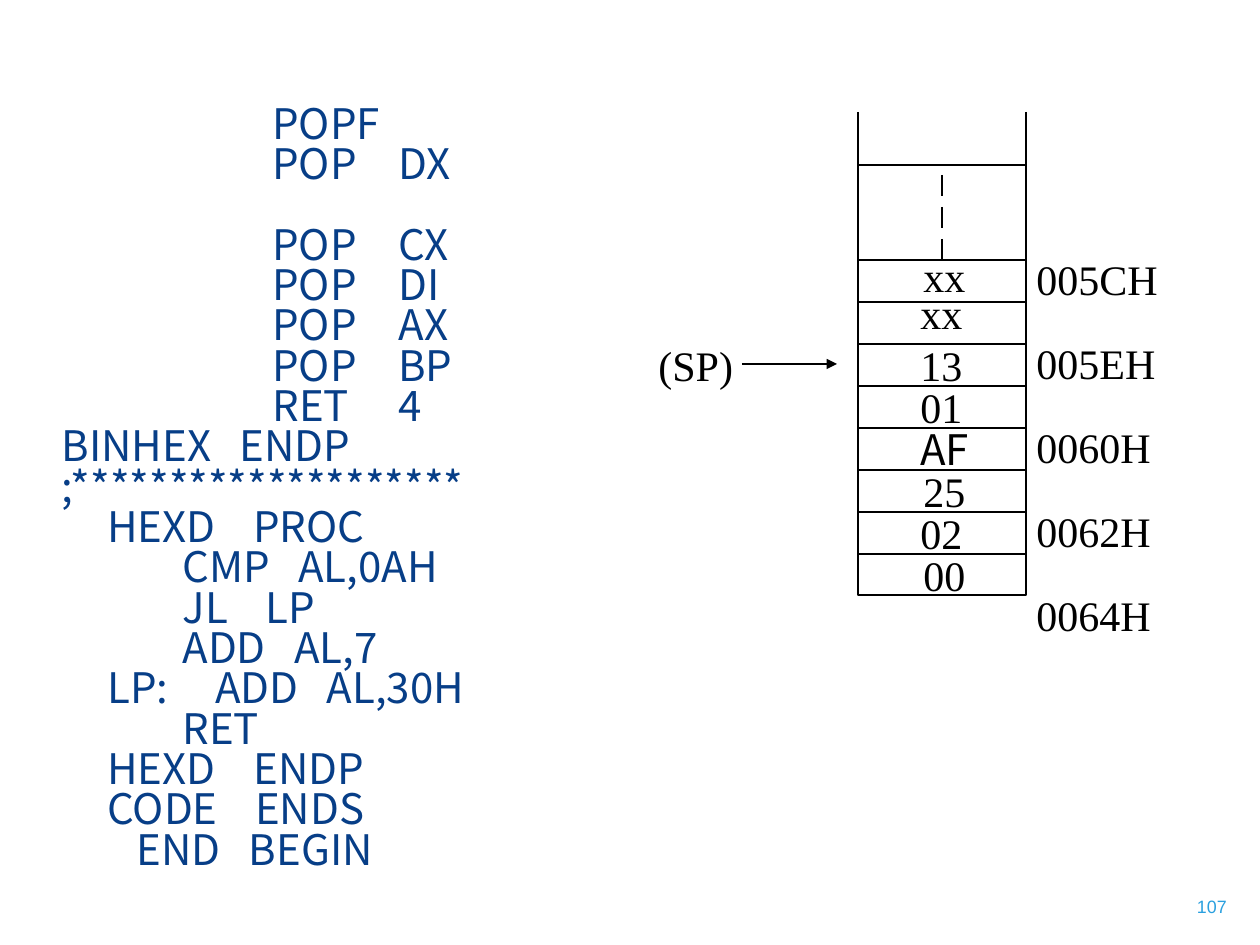
from lxml import etree
from pptx import Presentation
from pptx import util as u
from pptx.dml.color import RGBColor
from pptx.enum import shapes, text
from pptx.oxml.ns import qn

PX = 914400 / 126
HUE = {"ink": "000000", "code": "073E87", "page": "2AA0DF", "paper": "FFFFFF"}
SERIF, SANS = "Times New Roman", "Noto Sans CJK SC"
INDENT = {0: (48, -48), 1: (113, -39)}
CODE = [
    (1, "\t\t\tPOPF"),
    (1, "\t\t\tPOP\tDX"),
    (1, "\t\t\tPOP\tCX"),
    (1, "\t\t\tPOP\tDI"),
    (1, "\t\t\tPOP\tAX"),
    (1, "\t\t\tPOP\tBP"),
    (1, "\t\t\tRET\t4"),
    (0, "   BINHEX   ENDP"),
    (0, "   ;********************"),
    (1, "HEXD    PROC"),
    (1, "        CMP   AL,0AH"),
    (1, "        JL    LP"),
    (1, "        ADD   AL,7"),
    (1, "LP:     ADD   AL,30H"),
    (1, "        RET"),
    (1, "HEXD    ENDP"),
    (1, "CODE    ENDS"),
    (0, "           END   BEGIN"),
]
CELLS = [(911, 244, "xx"), (908, 281, "xx"), (908, 333, "13"), (908, 375, "01"),
         (908, 417, "AF"), (911, 459, "25"), (908, 501, "02"), (911, 543, "00")]
LABELS = ["005CH", "005EH", "0060H", "0062H", "0064H"]


def px(num):
    return u.Emu(round(num * PX))


def rgb(name):
    return RGBColor.from_string(HUE[name])


def style(para, size, font, hue, align=None, lead=None):
    para.font.size = u.Pt(size)
    para.font.name = font
    para.font.color.rgb = rgb(hue)
    para.alignment = align
    para.line_spacing = lead


def label(slide, words, x, y, w, h=63, size=24, font=SERIF, hue="ink", **form):
    frame = slide.shapes.add_textbox(px(x), px(y), px(w), px(h)).text_frame
    frame.word_wrap = True
    para = frame.paragraphs[0]
    para.text = words
    style(para, size, font, hue, **form)


def indent(para, level):
    para.level = level
    props = para._p.get_or_add_pPr()
    left, first = INDENT[level]
    props.set("marL", str(px(left)))
    props.set("indent", str(px(first)))
    etree.SubElement(props, qn("a:buNone"))
    tabs = etree.SubElement(props, qn("a:tabLst"))
    for stop in range(1, 8):
        etree.SubElement(tabs, qn("a:tab"), pos=str(px(stop * 126)), algn="l")


def listing(slide):
    frame = slide.shapes.add_textbox(px(21), px(101), px(638), px(825)).text_frame
    frame.word_wrap = True
    for row, (level, words) in enumerate(CODE):
        para = frame.add_paragraph() if row else frame.paragraphs[0]
        para.text = words
        indent(para, level)
        style(para, 24, SANS, "code", text.PP_ALIGN.JUSTIFY, 0.8)
        if words.endswith("CX"):
            para.space_before = u.Pt(23)


def line(slide, x1, y1, x2, y2, arrow=False):
    rule = slide.shapes.add_connector(
        shapes.MSO_CONNECTOR.STRAIGHT, px(x1), px(y1), px(x2), px(y2))
    rule.line.color.rgb = rgb("ink")
    rule.line.width = u.Pt(1)
    if arrow:
        etree.SubElement(rule.line._get_or_add_ln(), qn("a:tailEnd"), type="triangle")
    etree.SubElement(rule._element.spPr, qn("a:effectLst"))


def frame(slide, x, y, w, h):
    box = slide.shapes.add_shape(
        shapes.MSO_SHAPE.RECTANGLE, px(x), px(y), px(w), px(h))
    box.shadow.inherit = False
    box.fill.solid()
    box.fill.fore_color.rgb = rgb("paper")
    box.line.color.rgb = rgb("ink")
    box.line.width = u.Pt(1)


def stack(slide):
    left, right, top = 858, 1026, 165
    frame(slide, left, top, right - left, 430)
    line(slide, right, 112, right, top)
    line(slide, left, 112, left, 175)
    for row in range(8):
        y = 260 + 42 * row
        line(slide, left, y, right, y)
    for row, words in enumerate(LABELS):
        label(slide, words, 1024, 247 + 84 * row, 155)
    for x, y, words in CELLS:
        label(slide, words, x, y, 80, font=SANS if words == "AF" else SERIF)
    for dash in range(3):
        y = 175 + 32 * dash
        line(slide, 942, y, 942, y + 21)


def main():
    """Build the stack slide and save it."""
    deck = Presentation()
    deck.slide_width, deck.slide_height = px(1260), px(945)
    slide = deck.slides.add_slide(deck.slide_layouts[6])
    listing(slide)
    label(slide, "107", 1134, 892, 105, 34, size=10.2, font="Arial", hue="page",
          align=text.PP_ALIGN.RIGHT, lead=0.9)
    stack(slide)
    label(slide, "(SP)", 646, 333, 101)
    line(slide, 742, 364, 837, 364, arrow=True)
    deck.save("out.pptx")


if __name__ == "__main__":
    main()
